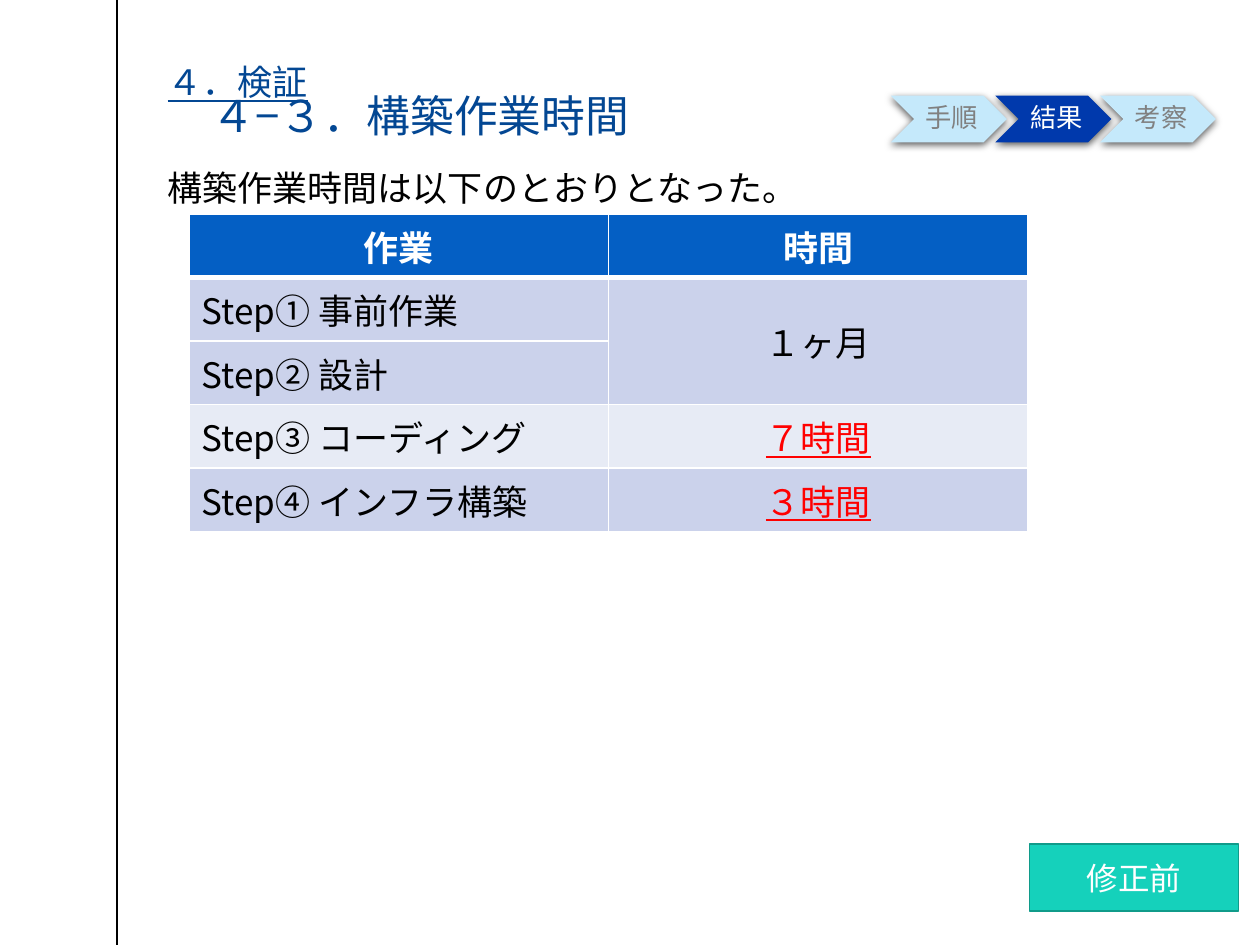
from lxml import etree
from pptx import Presentation
from pptx.dml.color import RGBColor
from pptx.enum.shapes import MSO_CONNECTOR, MSO_SHAPE
from pptx.enum.text import MSO_ANCHOR, MSO_AUTO_SIZE, PP_ALIGN
from pptx.oxml import parse_xml
from pptx.oxml.ns import nsdecls, qn
from pptx.util import Inches, Pt

LEFT, CENTER = PP_ALIGN.LEFT, PP_ALIGN.CENTER
TOP, MIDDLE, BOTTOM = MSO_ANCHOR.TOP, MSO_ANCHOR.MIDDLE, MSO_ANCHOR.BOTTOM

# Content
SECTION, HEADING = "４．検証", "４−３．構築作業時間"
LEAD = "構築作業時間は以下のとおりとなった。"
STAGES = ["手順", "結果", "考察"]
CURRENT_STAGE = "結果"
HEADER = ["作業", "時間"]
ROWS = [  # task, time, highlighted time, row fill
    ("Step① 事前作業", "１ヶ月", False, "band"),
    ("Step② 設計", None, False, "band"),  # None continues the cell above
    ("Step③ コーディング", "７時間", True, "light"),
    ("Step④ インフラ構築", "３時間", True, "band"),
]
BADGE = "修正前"

THEME = {
    "font": "Noto Sans CJK JP", "badge_font": "Calibri",
    "title": "034793", "text": "000000", "white": "FFFFFF", "alert": "FF0000",
    "muted": "808080", "stage": "C5E9FB", "stage_on": "0039AC",
    "header": "045FC4", "band": "CBD2EB", "light": "E7EBF5",
    "badge": "15D1BB", "badge_line": "109B8A",
    "heading_pt": 25, "body_pt": 20, "badge_pt": 18, "stage_pt": 15,
}


def rgb(name):
    return RGBColor.from_string(THEME[name])


def write(p, text, size="body_pt", color="text", font="font", bold=False,
          underline=False, align=LEFT, spacing=None, indent=0):
    p.alignment = align
    p.space_before = Pt(0)
    if spacing:
        p.line_spacing = spacing
    pPr = p._p.get_or_add_pPr()
    pPr.set("marL", str(Inches(indent)))
    pPr.set("indent", "0")
    etree.SubElement(pPr, qn("a:buNone"))
    r = p.add_run()
    r.text = text
    f = r.font
    f.name, f.size, f.bold, f.underline = THEME[font], Pt(THEME[size]), bold, underline
    f.color.rgb = rgb(color)
    etree.SubElement(r._r.get_or_add_rPr(), qn("a:ea")).set("typeface", THEME["font"])


def set_frame(tf, anchor, left, top, right, bottom):
    tf.word_wrap = True
    tf.auto_size = MSO_AUTO_SIZE.NONE
    tf.vertical_anchor = anchor
    tf.margin_left, tf.margin_top = Inches(left), Inches(top)
    tf.margin_right, tf.margin_bottom = Inches(right), Inches(bottom)


def place(sp, x, y, w, h):
    sp.left, sp.top, sp.width, sp.height = map(Inches, (x, y, w, h))


def add_box(kind, x, y, w, h, fill):
    sp = s.shapes.add_shape(kind, *map(Inches, (x, y, w, h)))
    sp.shadow.inherit = False
    sp.fill.solid()
    sp.fill.fore_color.rgb = rgb(fill)
    sp.line.fill.background()
    return sp


def add_shadow(sp):
    effects = sp._element.spPr.find(qn("a:effectLst"))
    effects.append(parse_xml(
        f'<a:outerShdw {nsdecls("a")} blurRad="{Pt(4.5)}" dist="{Pt(1.5)}" dir="5400000" '
        'rotWithShape="0"><a:srgbClr val="000000"><a:alpha val="63000"/></a:srgbClr>'
        '</a:outerShdw>'))


def format_cell(cell, fill, top=1, bottom=1):
    tcPr = cell._tc.get_or_add_tcPr()
    for side, width in (("L", 1), ("R", 1), ("T", top), ("B", bottom)):
        tcPr.append(parse_xml(
            f'<a:ln{side} {nsdecls("a")} w="{Pt(width)}"><a:solidFill>'
            f'<a:srgbClr val="{THEME["white"]}"/></a:solidFill></a:ln{side}>'))
    cell.fill.solid()
    cell.fill.fore_color.rgb = rgb(fill)


prs = Presentation()
prs.slide_width, prs.slide_height = Inches(10), Inches(7.5)
s = prs.slides.add_slide(prs.slide_layouts[1])

# Margin rule
rule = s.shapes.add_connector(
    MSO_CONNECTOR.STRAIGHT, Inches(0.93), 0, Inches(0.93), prs.slide_height)
rule.line.color.rgb = rgb("text")
rule.line.width = Pt(1)
etree.SubElement(rule._element.spPr, qn("a:effectLst"))

# Title and lead sentence
title, body = s.shapes.title, s.placeholders[1]
place(title, 1.33, 0.37, 8.31, 0.79)
tf = title.text_frame
set_frame(tf, BOTTOM, 0, 0.05, 0, 0.05)
write(tf.paragraphs[0], SECTION, color="title", underline=True, spacing=0.72)
write(tf.add_paragraph(), HEADING, size="heading_pt", color="title",
      spacing=0.72, indent=0.35)

place(body, 1.33, 1.27, 8.31, 0.53)
set_frame(body.text_frame, TOP, 0, 0.05, 0, 0.05)
write(body.text_frame.paragraphs[0], LEAD)

# Stage chevrons
for i, stage in enumerate(STAGES):
    on = stage == CURRENT_STAGE
    sp = add_box(MSO_SHAPE.CHEVRON, 7.07 + 0.83 * i, 0.76, 0.92, 0.37,
                 "stage_on" if on else "stage")
    add_shadow(sp)
    set_frame(sp.text_frame, MIDDLE, 0.07, 0.02, 0.02, 0.02)
    write(sp.text_frame.paragraphs[0], stage, size="stage_pt",
          color="white" if on else "muted", align=CENTER, spacing=0.9)

# Working time table
n_rows = len(ROWS) + 1
table = s.shapes.add_table(n_rows, len(HEADER), Inches(1.5), Inches(1.7),
                           Inches(6.66), Inches(0.5 * n_rows)).table
for col, text in enumerate(HEADER):
    cell = table.cell(0, col)
    format_cell(cell, "header", bottom=3)
    write(cell.text_frame.paragraphs[0], text, color="white", bold=True, align=CENTER)

for row, (task, time, alert, fill) in enumerate(ROWS, 1):
    task_cell, time_cell = table.cell(row, 0), table.cell(row, 1)
    for cell in (task_cell, time_cell):
        format_cell(cell, fill, top=3 if row == 1 else 1)
    write(task_cell.text_frame.paragraphs[0], task)
    if time is None:
        table.cell(row - 1, 1).merge(time_cell)
        table.cell(row - 1, 1).vertical_anchor = MIDDLE
    else:
        write(time_cell.text_frame.paragraphs[0], time, underline=alert,
              color="alert" if alert else "text", align=CENTER)

# Status badge
badge = add_box(MSO_SHAPE.RECTANGLE, 8.17, 6.7, 1.66, 0.53, "badge")
badge.line.color.rgb = rgb("badge_line")
badge.line.width = Pt(1)
set_frame(badge.text_frame, MIDDLE, 0.1, 0.05, 0.1, 0.05)
write(badge.text_frame.paragraphs[0], BADGE, size="badge_pt", color="white",
      font="badge_font", align=CENTER)

prs.save("out.pptx")
